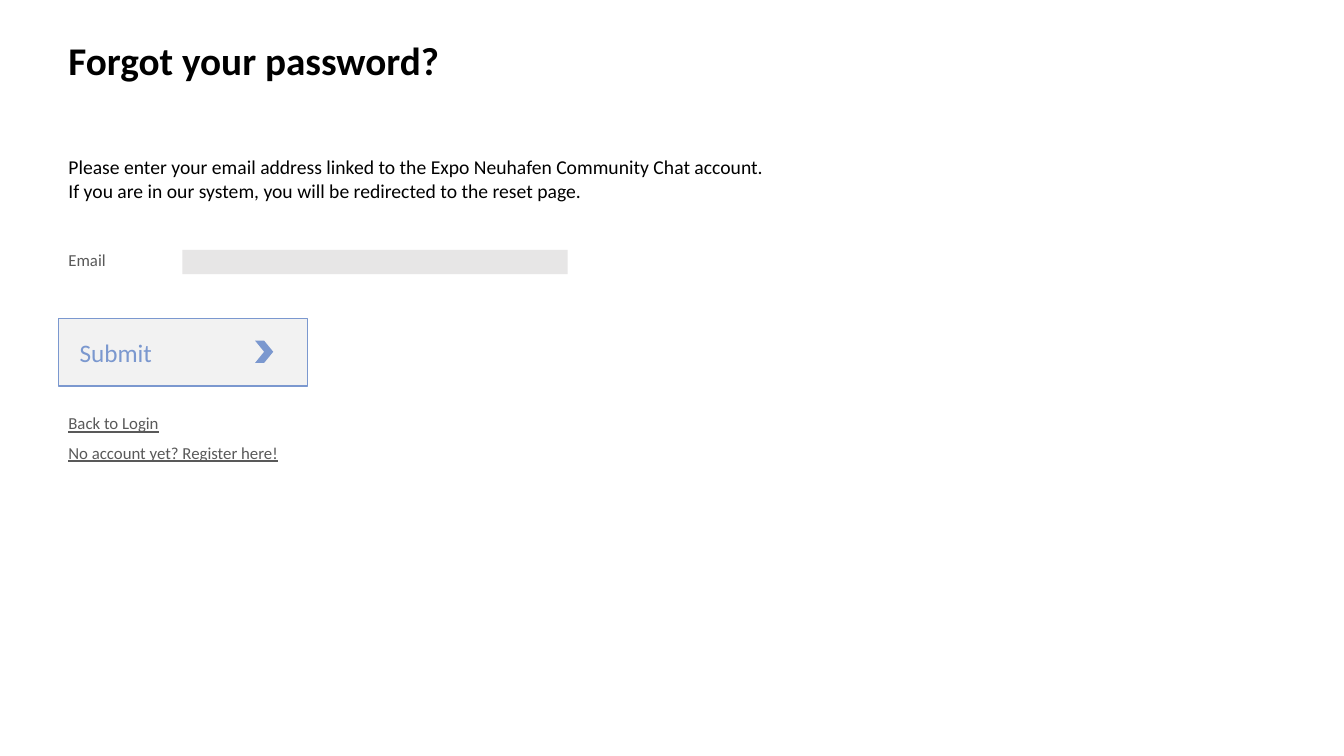
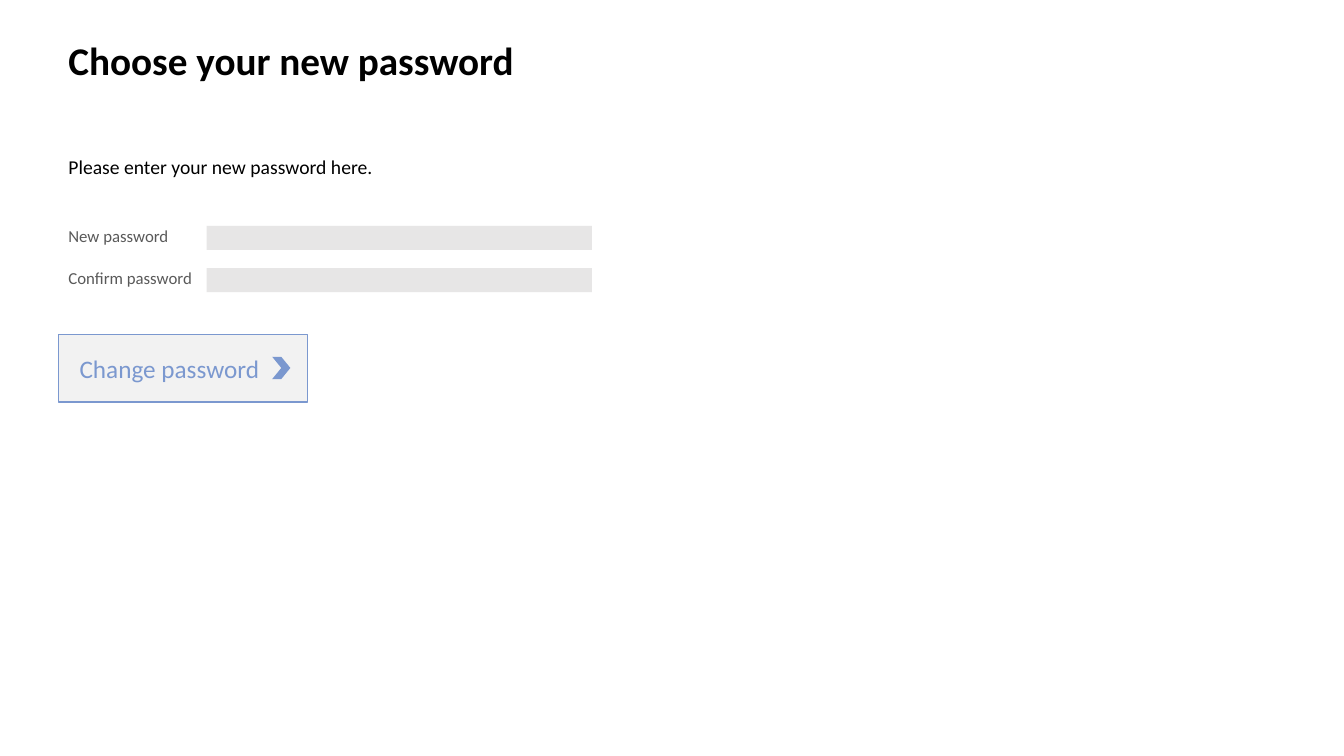
from dataclasses import dataclass

from pptx import Presentation
from pptx.dml.color import RGBColor
from pptx.enum.shapes import MSO_SHAPE as Preset
from pptx.enum.text import MSO_ANCHOR as Anchor, PP_ALIGN as Align
from pptx.util import Inches, Pt


@dataclass(frozen=True)
class Theme:
    font: str = "Calibri"
    ink: str = "000000"
    muted: str = "595959"
    accent: str = "7B98CF"
    field: str = "E7E6E6"
    button: str = "F2F2F2"
    title_size: int = 28
    button_size: int = 18
    body_size: int = 14
    label_size: int = 12
    margin: float = 0.58


theme = Theme()

forms = [
    dict(
        title="Forgot your password?",
        intro=["Please enter your email address linked to the Expo Neuhafen Community Chat account.",
               "If you are in our system, you will be redirected to the reset page."],
        fields=["Email"], field_left=1.81, field_top=2.48,
        button="Submit", button_top=3.16, chevron_left=2.53,
        links=["Back to Login", "No account yet? Register here!"],
    ),
    dict(
        title="Choose your new password",
        intro=["Please enter your new password here."],
        fields=["New password", "Confirm password"], field_left=2.05, field_top=2.24,
        button="Change password", button_top=3.32, chevron_left=2.7,
        links=[],
    ),
]
FIELD_STEP = 0.42
LABEL_RISE = 0.05
LINKS_TOP, LINK_STEP = 4.05, 0.29


def write(slide, lines, top, width, height, *, size, color=theme.ink, bold=False,
          underline=False, inset=0.1, anchor=Anchor.TOP, fill=None, line=None):
    """Write lines at the left margin, in a filled box if fill is given."""
    place = [Inches(v) for v in (theme.margin, top, width, height)]
    if fill:
        box = draw(slide, Preset.RECTANGLE, *place, fill=fill, line=line)
    else:
        box = slide.shapes.add_textbox(*place)
    frame = box.text_frame
    frame.word_wrap = True
    frame.vertical_anchor = anchor
    frame.margin_left = Inches(inset)
    for number, text in enumerate(lines):
        paragraph = frame.add_paragraph() if number else frame.paragraphs[0]
        paragraph.alignment = Align.LEFT
        run = paragraph.add_run()
        run.text = text
        font = run.font
        font.name, font.size = theme.font, Pt(size)
        font.bold, font.underline = bold, underline
        font.color.rgb = RGBColor.from_string(color)


def draw(slide, preset, left, top, width, height, *, fill, line=None):
    shape = slide.shapes.add_shape(preset, left, top, width, height)
    shape.shadow.inherit = False
    shape.fill.solid()
    shape.fill.fore_color.rgb = RGBColor.from_string(fill)
    if line:
        shape.line.color.rgb = RGBColor.from_string(line)
        shape.line.width = Pt(1)
    else:
        shape.line.fill.background()
    return shape


deck = Presentation()
deck.slide_width, deck.slide_height = Inches(13.33), Inches(7.5)

for form in forms:
    slide = deck.slides.add_slide(deck.slide_layouts[6])
    write(slide, [form["title"]], 0.31, 5.53, 0.57, size=theme.title_size, bold=True)
    write(slide, form["intro"], 1.49, 7.99, 0.11 + 0.23 * len(form["intro"]),
          size=theme.body_size)

    for row, label in enumerate(form["fields"]):
        top = form["field_top"] + row * FIELD_STEP
        draw(slide, Preset.RECTANGLE, Inches(form["field_left"]), Inches(top),
             Inches(3.82), Inches(0.24), fill=theme.field)
        write(slide, [label], top - LABEL_RISE, 1.51, 0.3,
              size=theme.label_size, color=theme.muted)

    write(slide, [form["button"]], form["button_top"], 2.47, 0.67,
          size=theme.button_size, color=theme.accent, inset=0.21,
          anchor=Anchor.MIDDLE, fill=theme.button, line=theme.accent)
    draw(slide, Preset.CHEVRON, Inches(form["chevron_left"]),
         Inches(form["button_top"] + 0.22), Inches(0.18), Inches(0.22), fill=theme.accent)

    for row, link in enumerate(form["links"]):
        write(slide, [link], LINKS_TOP + row * LINK_STEP, 2.77, 0.3,
              size=theme.label_size, color=theme.muted, underline=True)

deck.save("out.pptx")
